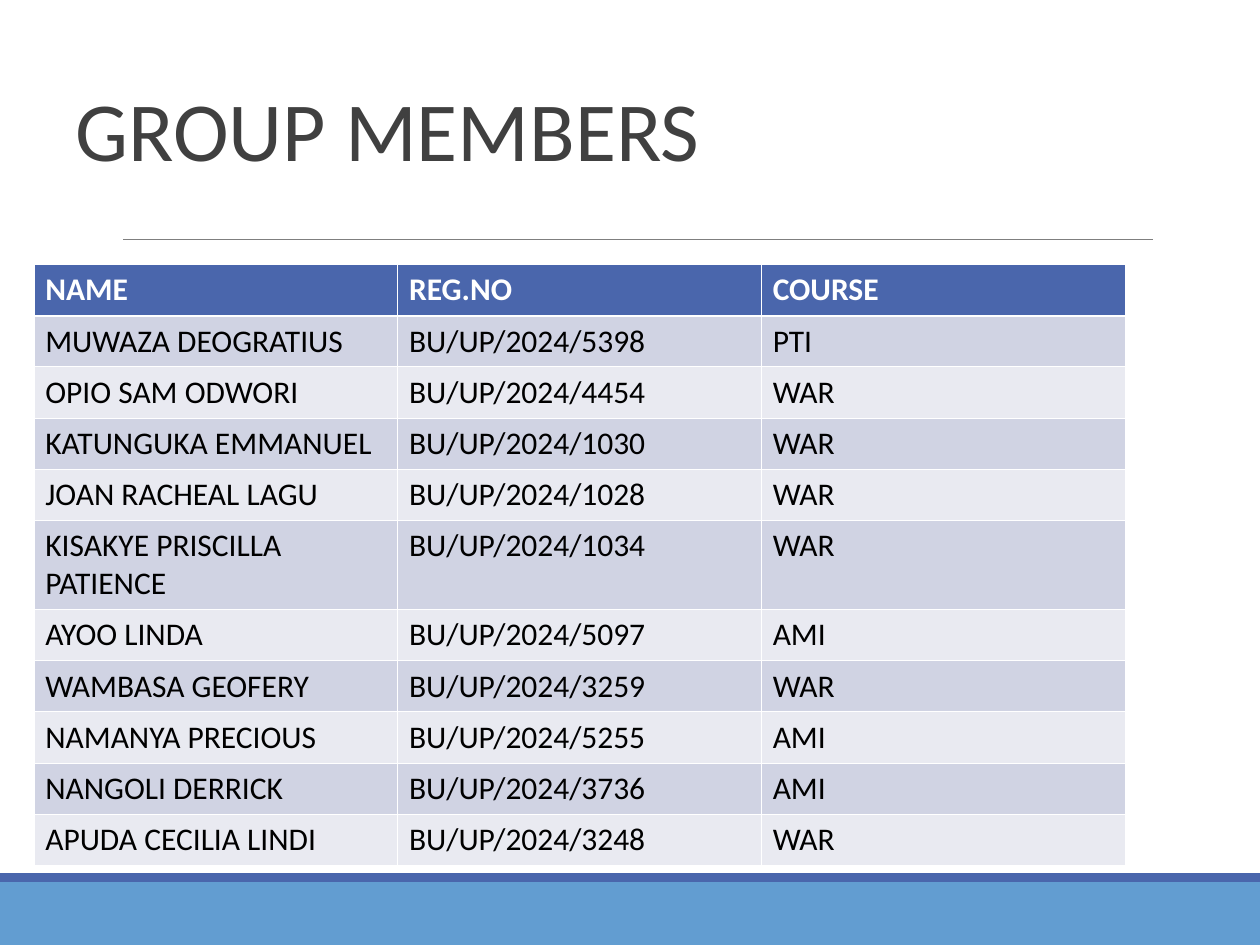
from lxml import etree
from pptx import Presentation
from pptx.dml.color import RGBColor
from pptx.enum.shapes import MSO_CONNECTOR, MSO_SHAPE
from pptx.enum.text import MSO_ANCHOR, MSO_AUTO_SIZE, PP_ALIGN
from pptx.oxml.ns import qn
from pptx.util import Inches, Pt

RECTANGLE = MSO_SHAPE.RECTANGLE
STRAIGHT = MSO_CONNECTOR.STRAIGHT
LEFT = PP_ALIGN.LEFT
BOTTOM = MSO_ANCHOR.BOTTOM
NO_AUTOFIT = MSO_AUTO_SIZE.NONE

FONT = "Calibri"
BLUE, LIGHT_BLUE = "4A66AC", "629DD1"
BANDS = ("E9EAF1", "D0D3E3")
WHITE, BLACK = "FFFFFF", "000000"

TITLE = "GROUP MEMBERS"
HEADER = ("NAME", "REG.NO", "COURSE")
MEMBERS = [
    ("MUWAZA DEOGRATIUS", "BU/UP/2024/5398", "PTI"),
    ("OPIO SAM ODWORI", "BU/UP/2024/4454", "WAR"),
    ("KATUNGUKA EMMANUEL", "BU/UP/2024/1030", "WAR"),
    ("JOAN RACHEAL LAGU", "BU/UP/2024/1028", "WAR"),
    ("KISAKYE PRISCILLA PATIENCE", "BU/UP/2024/1034", "WAR"),
    ("AYOO LINDA", "BU/UP/2024/5097", "AMI"),
    ("WAMBASA GEOFERY", "BU/UP/2024/3259", "WAR"),
    ("NAMANYA PRECIOUS", "BU/UP/2024/5255", "AMI"),
    ("NANGOLI DERRICK", "BU/UP/2024/3736", "AMI"),
    ("APUDA CECILIA LINDI", "BU/UP/2024/3248", "WAR"),
]
FOOTER_BARS = [(7, 0.5, LIGHT_BLUE), (6.93, 0.07, BLUE)]  # top, height, colour

TABLE_LEFT, TABLE_TOP, TABLE_WIDTH, TABLE_HEIGHT = 0.27, 2.1, 8.66, 4.76
TWO_LINE_ROW, TWO_LINE_HEIGHT = 5, 0.71
THIN, THICK = 0.45, 1.47


def rgb(color):
    return RGBColor.from_string(color)


def set_font(paragraph, size, color, bold=False):
    font = paragraph.font
    font.name, font.size, font.bold = FONT, Pt(size), bold
    font.color.rgb = rgb(color)


def add_footer_bar(slide, top, height, color):
    bar = slide.shapes.add_shape(RECTANGLE, 0, Inches(top), Inches(10), Inches(height))
    bar.shadow.inherit = False
    bar.fill.solid()
    bar.fill.fore_color.rgb = rgb(color)
    bar.line.fill.background()


def add_rule(slide):
    rule = slide.shapes.add_connector(
        STRAIGHT, Inches(0.98), Inches(1.9), Inches(9.15), Inches(1.9))
    rule.line.color.rgb = rgb("7F7F7F")
    rule.line.width = Pt(0.5)
    etree.SubElement(rule._element.spPr, qn("a:effectLst"))


def format_title(title):
    title.left, title.top = Inches(0.5), Inches(0.22)
    title.width, title.height = Inches(9), Inches(1.25)
    frame = title.text_frame
    frame.text = TITLE
    frame.word_wrap = True
    frame.auto_size = NO_AUTOFIT
    frame.vertical_anchor = BOTTOM
    paragraph = frame.paragraphs[0]
    paragraph.alignment = LEFT
    paragraph.line_spacing = 0.85
    set_font(paragraph, 48, "404040")


def add_borders(cell, top, bottom):
    properties = cell._tc.get_or_add_tcPr()
    for side, width in (("L", THIN), ("R", THIN), ("T", top), ("B", bottom)):
        line = etree.SubElement(properties, qn(f"a:ln{side}"), w=str(Pt(width)))
        fill = etree.SubElement(line, qn("a:solidFill"))
        etree.SubElement(fill, qn("a:srgbClr"), val=WHITE)


def format_cell(cell, text, row_index):
    is_header = row_index == 0
    cell.text = text
    cell.margin_left = cell.margin_right = Inches(0.09)
    cell.margin_top = cell.margin_bottom = Inches(0.05)
    add_borders(cell, THICK if row_index == 1 else THIN, THICK if is_header else THIN)
    cell.fill.solid()
    cell.fill.fore_color.rgb = rgb(BLUE if is_header else BANDS[row_index % 2])
    set_font(cell.text_frame.paragraphs[0], 18, WHITE if is_header else BLACK, is_header)


def add_member_table(slide):
    rows = [HEADER, *MEMBERS]
    table = slide.shapes.add_table(
        len(rows), len(HEADER), Inches(TABLE_LEFT), Inches(TABLE_TOP),
        Inches(TABLE_WIDTH), Inches(TABLE_HEIGHT)).table
    row_height = (TABLE_HEIGHT - TWO_LINE_HEIGHT) / (len(rows) - 1)
    for column in table.columns:
        column.width = Inches(TABLE_WIDTH / len(HEADER))
    for row_index, texts in enumerate(rows):
        height = TWO_LINE_HEIGHT if row_index == TWO_LINE_ROW else row_height
        table.rows[row_index].height = Inches(height)
        for column_index, text in enumerate(texts):
            format_cell(table.cell(row_index, column_index), text, row_index)


def main():
    presentation = Presentation()
    presentation.slide_width, presentation.slide_height = Inches(10), Inches(7.5)
    slide = presentation.slides.add_slide(presentation.slide_layouts[5])
    for bar in FOOTER_BARS:
        add_footer_bar(slide, *bar)
    add_rule(slide)
    format_title(slide.shapes.title)
    add_member_table(slide)
    presentation.save("out.pptx")


if __name__ == "__main__":
    main()
